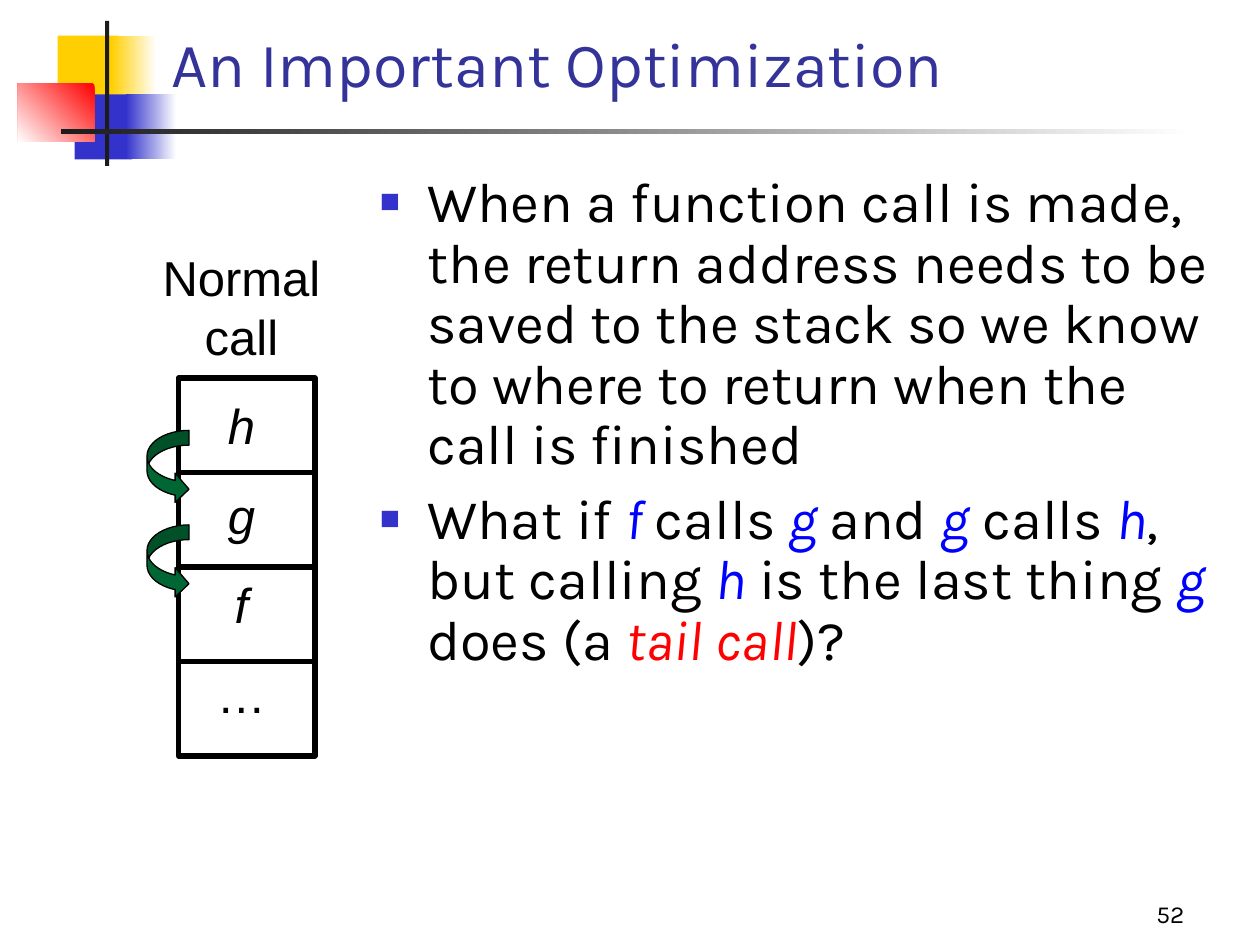
import pptx
import pptx.dml.color
import pptx.enum.shapes
import pptx.enum.text
import pptx.oxml
import pptx.oxml.ns
import pptx.util

SHAPE = pptx.enum.shapes.MSO_SHAPE
ALIGN = pptx.enum.text.PP_ALIGN
ANCHOR = pptx.enum.text.MSO_ANCHOR
NAMESPACE = pptx.oxml.ns.nsdecls("a")
rgb = pptx.dml.color.RGBColor.from_string

deck = pptx.Presentation()
deck.slide_width = pptx.util.Inches(10)
deck.slide_height = pptx.util.Inches(7.5)
page = deck.slides.add_slide(deck.slide_layouts[5])

# The slide is a grid of 120 columns by 90 rows
UNIT = deck.slide_width / 120


def grid(*cells):
    return [round(cell * UNIT) for cell in cells]


def write(box, place, anchor, paragraphs, align, look, gap=0, leading=None):
    """Fill a box; text between asterisks is set in italics."""
    box.left, box.top, box.width, box.height = grid(*place)
    frame = box.text_frame
    frame.word_wrap = True
    frame.auto_size = pptx.enum.text.MSO_AUTO_SIZE.NONE
    frame.vertical_anchor = anchor
    for index, text in enumerate(paragraphs):
        para = frame.add_paragraph() if index else frame.paragraphs[0]
        layout = {"alignment": align, "line_spacing": leading,
                  "space_before": pptx.util.Pt(gap if index else 0)}
        for name, value in layout.items():
            setattr(para, name, value)
        for part, words in enumerate(text.split("*")):
            if not words:
                continue
            span = para.add_run()
            span.text = words
            italic = part % 2 == 1
            for name, value in {"name": look["name"], "italic": italic,
                                "size": pptx.util.Pt(look["size"])}.items():
                setattr(span.font, name, value)
            accent = look.get("accents", {}).get(words.strip(), look.get("accent"))
            span.font.color.rgb = rgb(accent if italic and accent else look["color"])


# Corner ornament: place, colour, and for fades the end colour and angle
ornament = [
    ((5.5, 3.4, 5.8, 6.2), "FFCF01", None, None),
    ((10.6, 3.4, 4.3, 6.2), "FFFFFF", "FFCF01", 180),
    ((7.1, 9, 5.5, 6.2), "3333CC", None, None),
    ((12, 9, 4.8, 6.2), "FFFFFF", "3333CC", 180),
    ((1.7, 8, 7.3, 5.5), "FF0000", "FFFFFF", 225),
    ((10, 2, 0.4, 13.8), "1C1C1C", None, None),
    ((5.8, 12.3, 108, 0.5), "FFFFFF", "1C1C1C", 180),
]
for place, start, end, angle in ornament:
    block = page.shapes.add_shape(SHAPE.RECTANGLE, *grid(*place))
    block.shadow.inherit = False
    block.line.fill.background()
    if end is None:
        block.fill.solid()
        block.fill.fore_color.rgb = rgb(start)
    else:
        block.fill.gradient()
        block.fill.gradient_angle = angle
        for stop, color, position in zip(block.fill.gradient_stops, (start, end), (0, 1)):
            stop.color.rgb = rgb(color)
            stop.position = position

# Title
write(page.shapes.title, (15.1, 2.2, 102.2, 7.9), ANCHOR.BOTTOM,
      ["An Important Optimization"], ALIGN.LEFT,
      {"name": "Karla", "size": 36, "color": "333399"})

# Slide number
number = page.shapes.add_textbox(0, 0, 0, 0)
write(number, (89, 83, 25, 6), ANCHOR.BOTTOM, ["52"], ALIGN.RIGHT,
      {"name": "Karla", "size": 14, "color": "000000"})

# Stack labels
labels = page.shapes.add_textbox(0, 0, 0, 0)
write(labels, (11, 23, 24, 46.5), ANCHOR.TOP,
      ["Normal call", "*h*", "*g*", "*f*", "…"], ALIGN.CENTER,
      {"name": "Arial", "size": 28, "color": "000000"}, gap=17.5)

# Stack frame and its dividers
LEFT, TOP, WIDTH, ROW, ROWS = 17, 36, 13, 9, 4
stack = page.shapes.add_shape(SHAPE.RECTANGLE, *grid(LEFT, TOP, WIDTH, ROW * ROWS))
stack.shadow.inherit = False
stack.fill.background()
outlines = [stack.line]
for row in range(1, ROWS):
    level = TOP + row * ROW
    divider = page.shapes.add_connector(
        pptx.enum.shapes.MSO_CONNECTOR.STRAIGHT,
        *grid(LEFT, level, LEFT + WIDTH, level))
    if row * 2 == ROWS:
        divider.begin_connect(stack, 1)
        divider.end_connect(stack, 3)
    outlines.append(divider.line)
    divider.line.color.rgb = rgb("000000")
    divider._element.spPr.append(pptx.oxml.parse_xml(f"<a:effectLst {NAMESPACE}/>"))
for outline in outlines:
    outline.color.rgb = rgb("000000")
    outline.width = pptx.util.Pt(3)

# Arrows from each call to its caller
for row in range(2):
    arrow = page.shapes.add_shape(SHAPE.CURVED_RIGHT_ARROW,
                                  *grid(14, TOP + 5 + row * ROW, 4, 7))
    arrow.shadow.inherit = False
    for index, value in enumerate((0.35, 0.7, 0.33)):
        arrow.adjustments[index] = value
    arrow.fill.solid()
    arrow.fill.fore_color.rgb = rgb("006633")
    arrow.line.color.rgb = rgb("000000")
    arrow.line.width = pptx.util.Pt(0.75)

# Bulleted explanation
body = page.shapes.add_textbox(0, 0, 0, 0)
write(body, (35, 16, 81.5, 64.4), ANCHOR.TOP, [
    "When a function call is made, the return address needs to be saved to the "
    "stack so we know to where to return when the call is finished",
    "What if *f *calls *g *and *g* calls *h*, but calling *h* is the last thing "
    "*g* does (a *tail call*)?",
], ALIGN.LEFT, {"name": "Karla", "size": 32, "color": "000000",
                "accent": "0000FF", "accents": {"tail call": "FF0000"}},
      gap=8, leading=0.9)
indent = grid(4.5)[0]
for para in body.text_frame.paragraphs:
    properties = para._p.get_or_add_pPr()
    properties.set("marL", str(indent))
    properties.set("indent", str(-indent))
    for bullet in ('<a:buClr {}><a:srgbClr val="3333CC"/></a:buClr>',
                   '<a:buSzPct {} val="60000"/>',
                   '<a:buFont {} typeface="Arial"/>',
                   '<a:buChar {} char="■"/>'):
        properties.append(pptx.oxml.parse_xml(bullet.format(NAMESPACE)))

deck.save("out.pptx")
